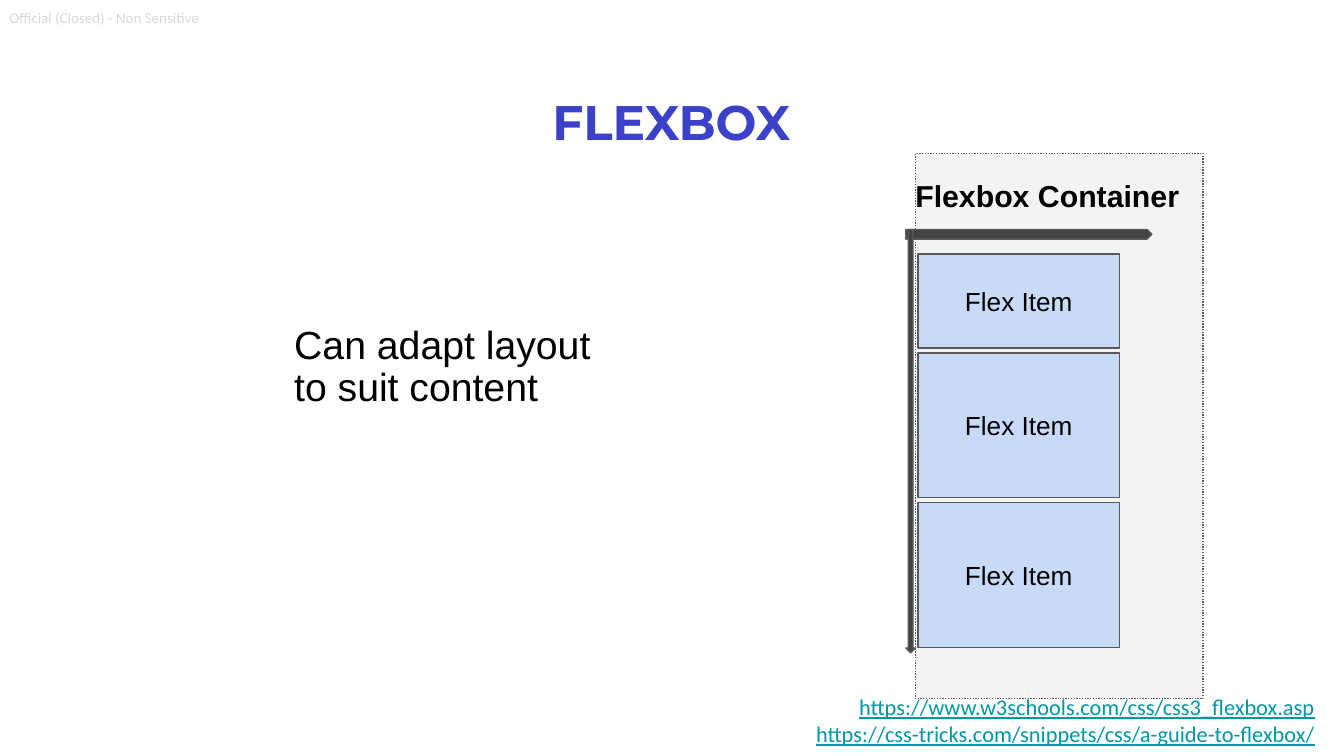
from pptx import Presentation
from pptx.dml.color import RGBColor
from pptx.enum.dml import MSO_LINE
from pptx.enum.shapes import MSO_SHAPE
from pptx.enum.text import MSO_ANCHOR, PP_ALIGN
from pptx.util import Cm, Pt

# Content
TITLE = "FLEXBOX"
CLASSIFICATION = "Official (Closed) - Non Sensitive"
MESSAGE = "Can adapt layout to suit content"
CONTAINER_LABEL = "Flexbox Container"
FLEX_ITEMS = [("Flex Item", 1.78), ("Flex Item", 2.74), ("Flex Item", 2.74)]  # text, height in cm
SOURCES = [
    "https://www.w3schools.com/css/css3_flexbox.asp",
    "https://css-tricks.com/snippets/css/a-guide-to-flexbox/",
]

THEME = {
    "body": "Arial", "display": "Montserrat", "small": "Calibri",
    "text": "000000", "title": "3B41C9", "muted": "D9D9D9", "link": "0097A7",
    "container": "F3F3F3", "item": "C9DAF8", "axis": "434343", "outline": "595959",
    "title_size": 26, "message_size": 21, "label_size": 16.2,
    "item_size": 14, "source_size": 12, "mark_size": 8,
}

# Geometry in cm
ITEM_LEFT, ITEM_TOP, ITEM_WIDTH, ITEM_GAP = 17.35, 4.8, 3.81, 0.09
AXIS_LEFT, AXIS_TOP, AXIS_THICKNESS = 17.12, 4.34, 0.18
MAIN_AXIS, CROSS_AXIS = 8.0, 4.65


def write(holder, lines, font, size, color, align=PP_ALIGN.LEFT, anchor=MSO_ANCHOR.TOP,
          insets=(0.25, 0.25), spacing=None, bold=False, underline=False):
    frame = holder.text_frame
    frame.word_wrap = True
    frame.vertical_anchor = anchor
    frame.margin_left = frame.margin_right = Cm(insets[0])
    frame.margin_top = frame.margin_bottom = Cm(insets[1])
    frame.text = "\n".join(lines)
    for paragraph in frame.paragraphs:
        paragraph.alignment = align
        if spacing:
            paragraph.line_spacing = spacing
        paragraph.font.name = THEME[font]
        paragraph.font.size = Pt(THEME[size])
        paragraph.font.color.rgb = RGBColor.from_string(THEME[color])
        paragraph.font.bold = bold
        paragraph.font.underline = underline


def add_text(slide, box, lines, *style, **options):
    write(slide.shapes.add_textbox(*map(Cm, box)), lines, *style, **options)


def add_outlined(slide, preset, box, fill):
    shape = slide.shapes.add_shape(preset, *map(Cm, box))
    shape.shadow.inherit = False
    shape.fill.solid()
    shape.fill.fore_color.rgb = RGBColor.from_string(THEME[fill])
    shape.line.color.rgb = RGBColor.from_string(THEME["outline"])
    shape.line.width = Pt(0.75)
    return shape


def main():
    deck = Presentation()
    deck.slide_width, deck.slide_height = Cm(25.4), Cm(14.29)
    slide = deck.slides.add_slide(deck.slide_layouts[5])

    # Title
    title = slide.shapes.title
    title.left, title.top, title.width, title.height = map(Cm, (7.85, 1.57, 9.68, 1.12))
    write(title, [TITLE], "display", "title_size", "title", align=PP_ALIGN.CENTER,
          insets=(0, 0), spacing=1.15, bold=True)

    # Container and its label
    container = add_outlined(slide, MSO_SHAPE.RECTANGLE, (17.3, 2.9, 5.44, 10.31), "container")
    container.line.dash_style = MSO_LINE.ROUND_DOT
    add_text(slide, (17.12, 2.97, 5.44, 1.55), [CONTAINER_LABEL], "body", "label_size", "text",
             anchor=MSO_ANCHOR.MIDDLE, insets=(0.18, 0.1), spacing=0.9, bold=True)

    # Cross axis, then main axis turned downwards from the same corner
    cross_axis = add_outlined(slide, MSO_SHAPE.RIGHT_ARROW,
                              (AXIS_LEFT, AXIS_TOP, CROSS_AXIS, AXIS_THICKNESS), "axis")
    cross_axis.adjustments[0] = 1
    shift = (MAIN_AXIS - AXIS_THICKNESS) / 2
    main_axis = add_outlined(slide, MSO_SHAPE.RIGHT_ARROW,
                             (AXIS_LEFT - shift, AXIS_TOP + shift, MAIN_AXIS, AXIS_THICKNESS),
                             "axis")
    main_axis.rotation = 90

    # Stacked flex items
    top = ITEM_TOP
    for text, height in FLEX_ITEMS:
        item = add_outlined(slide, MSO_SHAPE.RECTANGLE,
                            (ITEM_LEFT, top, ITEM_WIDTH, height), "item")
        write(item, [text], "body", "item_size", "text", align=PP_ALIGN.CENTER,
              anchor=MSO_ANCHOR.MIDDLE)
        top += height + ITEM_GAP

    # Message, classification and sources
    add_text(slide, (5.38, 5.11, 6.48, 3.68), [MESSAGE], "body", "message_size", "text",
             anchor=MSO_ANCHOR.MIDDLE, insets=(0.18, 0.1), spacing=0.9)
    add_text(slide, (0, 0, 4.11, 0.58), [CLASSIFICATION], "small", "mark_size", "muted",
             insets=(0.18, 0.18))
    add_text(slide, (13.39, 12.85, 11.71, 1.55), SOURCES, "small", "source_size", "link",
             align=PP_ALIGN.RIGHT, underline=True)

    deck.save("out.pptx")


if __name__ == "__main__":
    main()
